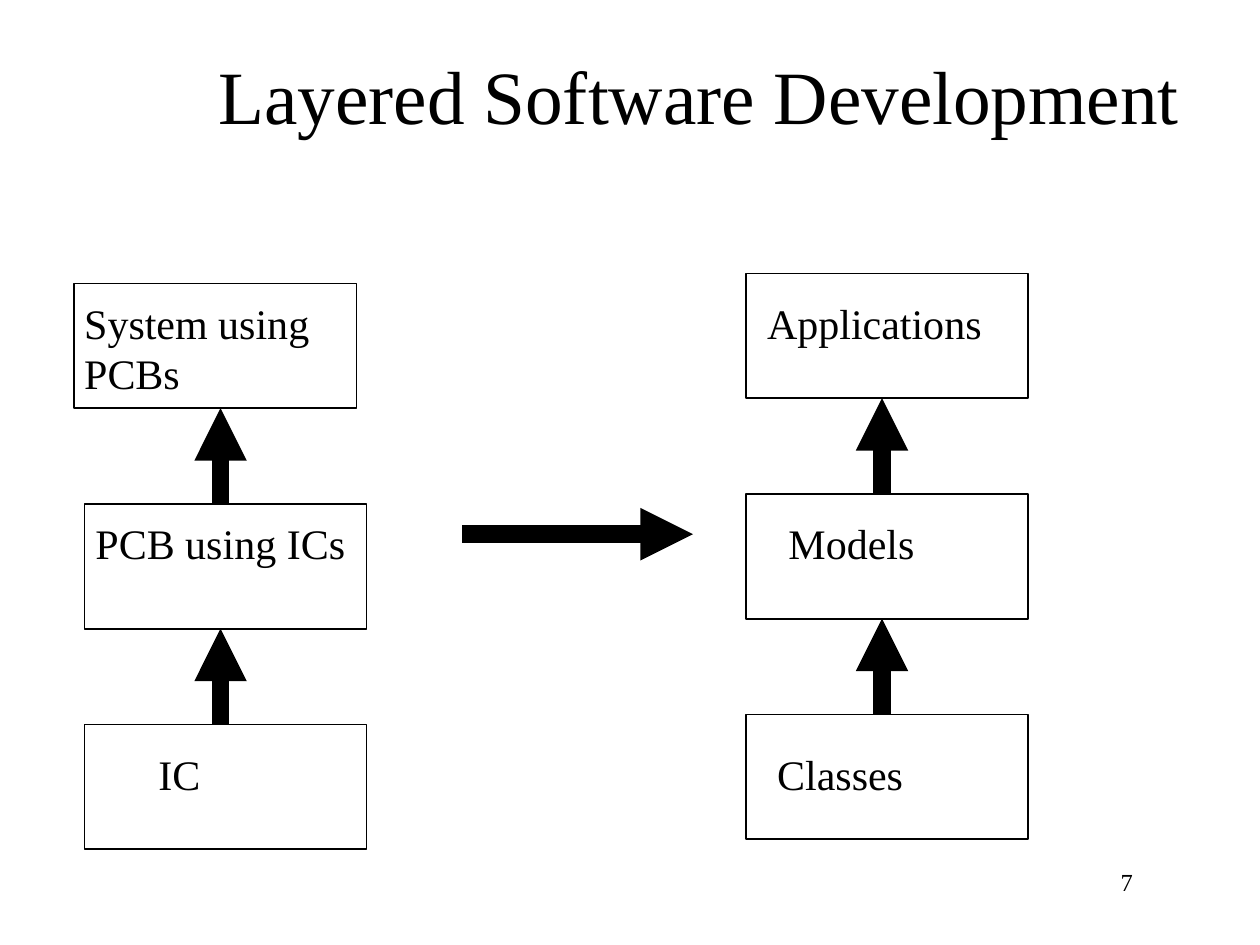
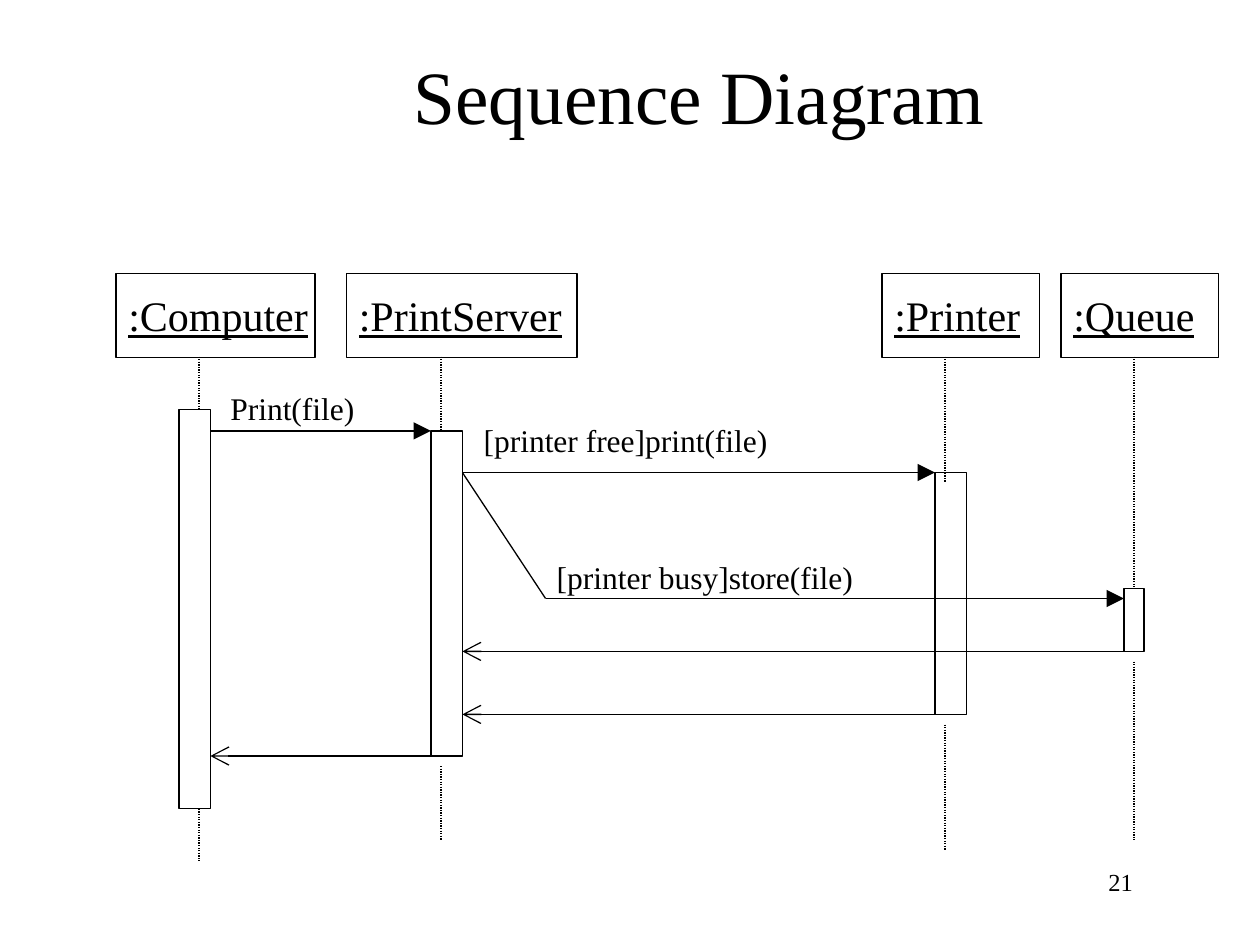
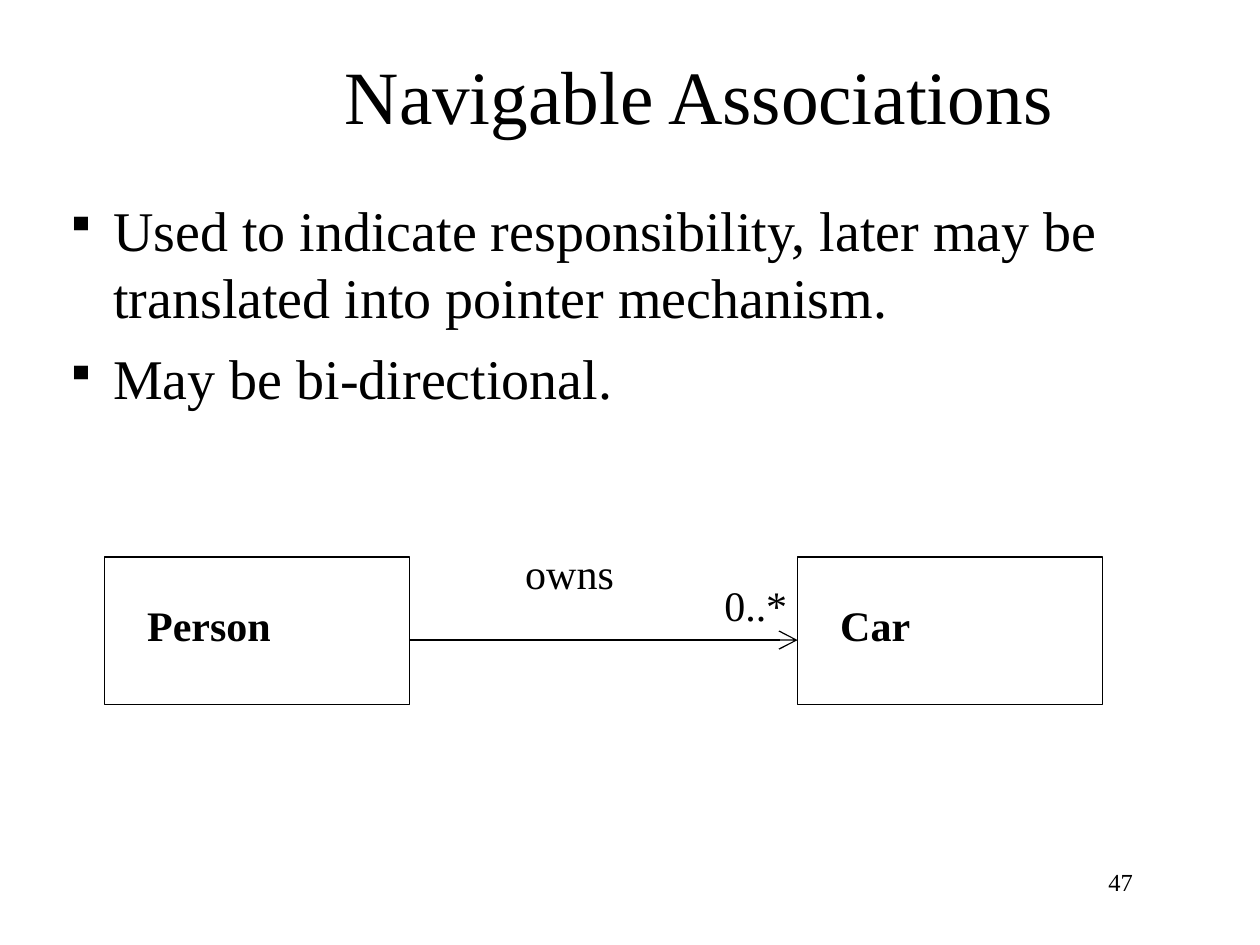
from lxml.etree import SubElement
from pptx import Presentation
from pptx.dml.color import RGBColor
from pptx.enum.dml import MSO_LINE
from pptx.enum.shapes import MSO_CONNECTOR, MSO_SHAPE
from pptx.enum.text import MSO_ANCHOR, PP_ALIGN
from pptx.oxml.ns import qn
from pptx.util import Inches, Pt

COLORS = {"ink": "000000", "paper": "FFFFFF"}
FONT = "Times New Roman"
TOP = 0


def color(name):
    return RGBColor.from_string(COLORS[name])


class Deck:
    """Holds the shared style and the current slide."""

    def __init__(self):
        self.show = Presentation()
        self.show.slide_width = Inches(10)
        self.show.slide_height = Inches(7.5)

    def page(self, title, number):
        self.slide = self.show.slides.add_slide(self.show.slide_layouts[6])
        fill = self.slide.background.fill
        fill.solid()
        fill.fore_color.rgb = color("paper")
        self.text(title, 1.42, 0.25, 8.25, 1, size=43, align=PP_ALIGN.CENTER,
                  anchor=MSO_ANCHOR.MIDDLE)
        self.text(str(number), 7.17, 6.83, 1.92, 0.52, size=14,
                  align=PP_ALIGN.RIGHT)

    def text(self, text, left, top, width, height=0.5, size=24, bold=False,
             under=False, align=PP_ALIGN.LEFT, anchor=MSO_ANCHOR.TOP,
             bullet=None, gap=0):
        box = self.slide.shapes.add_textbox(
            Inches(left), Inches(top), Inches(width), Inches(height))
        frame = box.text_frame
        frame.word_wrap = True
        frame.vertical_anchor = anchor
        frame.text = text
        for index, para in enumerate(frame.paragraphs):
            if bullet:
                self.bullet(para, bullet)
            para.alignment = align
            if index and gap:
                para.space_before = Pt(gap)
            for run in para.runs:
                font = run.font
                font.name = FONT
                font.size = Pt(size)
                font.color.rgb = color("ink")
                font.bold = bold
                font.underline = under

    def bullet(self, para, char):
        props = para._p.get_or_add_pPr()
        indent = Inches(0.38)
        props.set("marL", str(indent))
        props.set("indent", str(-indent))
        tint = SubElement(props, qn("a:buClr"))
        SubElement(tint, qn("a:srgbClr"), val=COLORS["ink"])
        SubElement(props, qn("a:buSzPct"), val="75000")
        SubElement(props, qn("a:buChar"), char=char)

    def rect(self, left, top, width, height, weight=0.75):
        shape = self.slide.shapes.add_shape(
            MSO_SHAPE.RECTANGLE, Inches(left), Inches(top),
            Inches(width), Inches(height))
        shape.shadow.inherit = False
        shape.fill.background()
        shape.line.color.rgb = color("ink")
        shape.line.width = Pt(weight)
        return shape

    def line(self, start, end, head=None, scale="lg", weight=0.75, dots=False):
        link = self.slide.shapes.add_connector(
            MSO_CONNECTOR.STRAIGHT, *map(Inches, start + end))
        link.line.color.rgb = color("ink")
        link.line.width = Pt(weight)
        if dots:
            link.line.dash_style = MSO_LINE.ROUND_DOT
        props = link.element.spPr
        if head:
            SubElement(props.find(qn("a:ln")), qn("a:tailEnd"),
                       type=head, w=scale, len=scale)
        SubElement(props, qn("a:effectLst"))
        return link

    def arrow(self, start, end):
        self.line(start, end, head="triangle", scale="med", weight=10)


def layers(deck):
    deck.page("Layered Software Development", 7)
    pitch, width, height = 1.75, 2.24, 0.99
    stacks = [
        (2.25, 1.75, (0.59, 0.67, 0.67), [
            ("System using\nPCBs", 0.57, 2.31, 2.1, 0.9),
            ("PCB using ICs", 0.66, 4.06, 2.3),
            ("IC", 1.16, 5.89, 0.6)]),
        (2.17, 7, (5.92, 5.92, 5.92), [
            ("Applications", 5.99, 2.31, 2),
            ("Models", 6.16, 4.06, 1.3),
            ("Classes", 6.07, 5.89, 1.3)]),
    ]
    for first, axis, lefts, labels in stacks:
        for row, (left, label) in enumerate(zip(lefts, labels)):
            top = first + row * pitch
            deck.rect(left, top, width, height, weight=1)
            deck.text(*label)
            if row:
                deck.arrow((axis, top), (axis, top - pitch + height))
    deck.arrow((3.67, 4.24), (5.5, 4.24))


def sequence(deck):
    deck.page("Sequence Diagram", 21)
    heads = [(":Computer", 0.92, 1.58, 1.7), (":PrintServer", 2.75, 1.83, 1.9),
             (":Printer", 7, 1.25, 1.3), (":Queue", 8.42, 1.25, 1.25)]
    for name, left, width, span in heads:
        deck.rect(left, 2.17, width, 0.67)
        deck.text(name, left, 2.25, span, under=True)

    bars = [(1.42, 3.25, 0.25, 3.17), (3.42, 3.42, 0.25, 2.58),
            (7.42, 3.75, 0.25, 1.92), (8.92, 4.67, 0.16, 0.5)]
    lives = [(1.58, 3.25, 6.42, 6.83), (3.5, 3.42, 6.08, 6.67),
             (7.5, 3.83, 5.75, 6.75), (9, 4.67, 5.25, 6.67)]
    for bar, (axis, stop, start, end) in zip(bars, lives):
        shape = deck.rect(*bar)
        upper = deck.line((axis, 2.83), (axis, stop), dots=True)
        deck.line((axis, start), (axis, end), dots=True)
    upper.end_connect(shape, TOP)

    calls = [(1.67, 3.42, 3.42), (3.67, 7.42, 3.75), (4.33, 8.92, 4.75)]
    replies = [(3.42, 1.67, 6), (7.42, 3.67, 5.67), (8.92, 3.67, 5.17)]
    for head, moves in (("triangle", calls), ("arrow", replies)):
        for start, end, level in moves:
            deck.line((start, level), (end, level), head=head)
    deck.line((4.33, 4.75), (3.67, 3.75))

    for label in [("Print(file)", 1.73, 3.04, 1.3),
                  ("[printer free]print(file)", 3.74, 3.29, 2.6),
                  ("[printer busy]store(file)", 4.32, 4.38, 2.7)]:
        deck.text(*label, height=0.4, size=18)


def links(deck):
    deck.page("Navigable Associations", 47)
    deck.text("Used to indicate responsibility, later may be translated into "
              "pointer mechanism.\nMay be bi-directional.",
              0.42, 1.5, 9.58, 1.81, size=32, bullet="▪", gap=8)
    for name, left, span in [("Person", 0.83, 1.3), ("Car", 6.33, 0.9)]:
        deck.rect(left, 4.42, 2.42, 1.17)
        deck.text(name, left + 0.24, 4.71, span, bold=True)
    deck.line((3.25, 5.08), (6.33, 5.08), head="arrow")
    deck.text("owns", 4.07, 4.3, 1)
    deck.text("0..*", 5.65, 4.55, 0.8)


def main():
    deck = Deck()
    for build in (layers, sequence, links):
        build(deck)
    deck.show.save("out.pptx")


if __name__ == "__main__":
    main()
